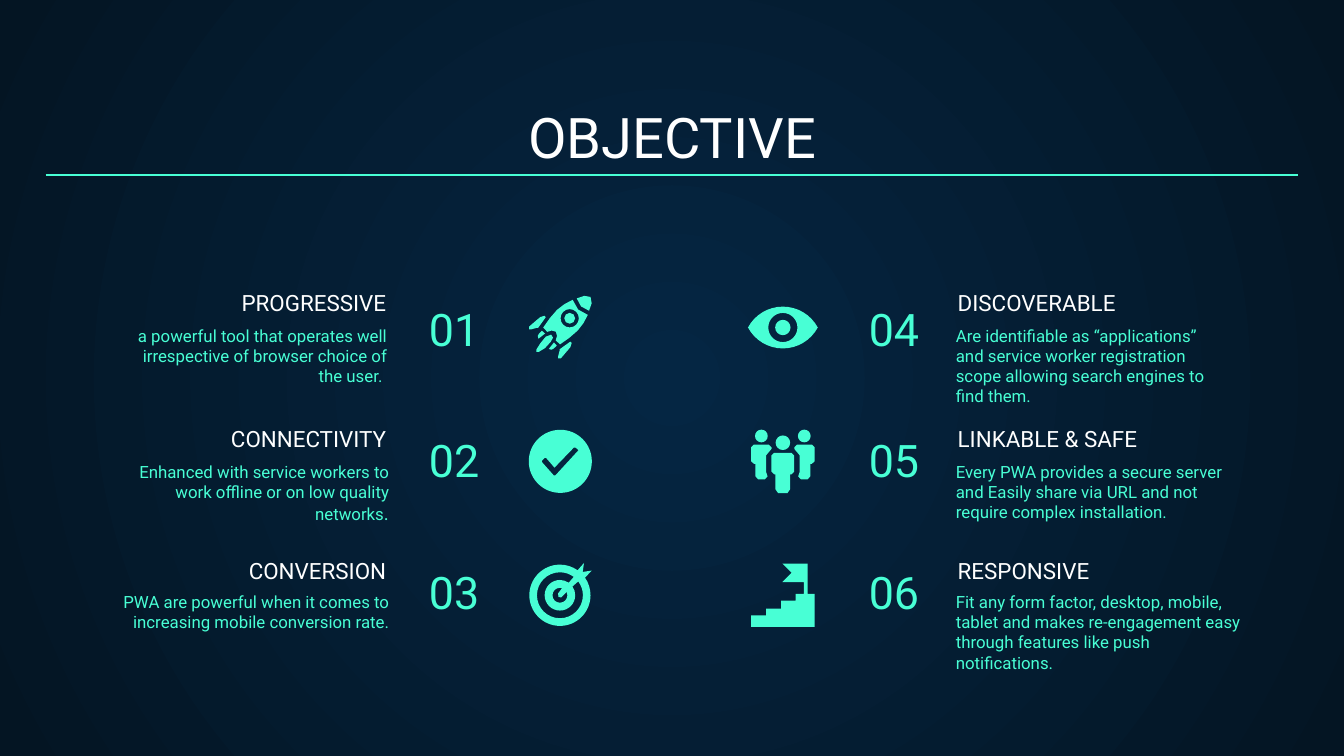
from dataclasses import dataclass
from math import cos, radians, sin, tan

from lxml import etree
from pptx import Presentation
from pptx.dml.color import RGBColor
from pptx.enum import dml, shapes, text
from pptx.oxml import ns
from pptx.util import Pt


@dataclass(frozen=True)
class Theme:
    font: str = "Roboto"
    white: str = "FFFFFF"
    mint: str = "48FFD5"
    glow: str = "052643"
    night: str = "041523"
    title: float = 30
    number: float = 24
    heading: float = 12
    body: float = 9
    full_stop: float = 10
    inset: float = 7.2


LEFT, CENTER, RIGHT = text.PP_ALIGN.LEFT, text.PP_ALIGN.CENTER, text.PP_ALIGN.RIGHT
TOP, BOTTOM = text.MSO_ANCHOR.TOP, text.MSO_ANCHOR.BOTTOM


def add_span(para, words, theme, size, color):
    span = para.add_run()
    span.text = words
    span.font.name = theme.font
    span.font.size = Pt(size)
    span.font.color.rgb = RGBColor.from_string(color)


def write(box, words, theme, size, color, align=LEFT, anchor=TOP):
    frame = box.text_frame
    frame.word_wrap = True
    frame.auto_size = text.MSO_AUTO_SIZE.NONE
    frame.vertical_anchor = anchor
    frame.margin_left = frame.margin_right = Pt(theme.inset)
    frame.margin_top = frame.margin_bottom = Pt(theme.inset)
    para = frame.paragraphs[0]
    para.alignment = align
    add_span(para, words, theme, size, color)
    return para


def arc(x, y, radius, start=0, end=360):
    low, high = sorted((start, end))
    quarters = [a for a in range(-360, 361, 90) if low < a < high]
    stops = [radians(a) for a in sorted([low, high] + quarters, reverse=start > end)]
    nodes = [(x + radius * cos(stops[0]), y + radius * sin(stops[0]))]
    for a, b in zip(stops, stops[1:]):
        pull = 4 / 3 * tan((b - a) / 4)
        nodes.append((x + radius * cos(b), y + radius * sin(b),
                      x + radius * (cos(a) - pull * sin(a)),
                      y + radius * (sin(a) + pull * cos(a)),
                      x + radius * (cos(b) + pull * sin(b)),
                      y + radius * (sin(b) - pull * cos(b))))
    return nodes


def flip(points):
    return [(-x, y) for x, y in points]


def across_diagonal(points):
    return [(-y, -x) for x, y in points]


class SlideBuilder:
    def __init__(self, page, theme):
        self.page = page
        self.theme = theme

    def background(self):
        fill = self.page.background.fill
        fill.gradient()
        for stop, color in zip(fill.gradient_stops, (self.theme.glow, self.theme.night)):
            stop.color.rgb = RGBColor.from_string(color)
        gradient = self.page._element.find(".//" + ns.qn("a:gradFill"))
        gradient.remove(gradient.find(ns.qn("a:lin")))
        circle = etree.SubElement(gradient, ns.qn("a:path"), path="circle")
        etree.SubElement(circle, ns.qn("a:fillToRect"), **dict.fromkeys("ltrb", "50000"))

    def title(self, words, left, top, width, height):
        box = self.page.shapes.title
        box.left, box.top, box.width, box.height = map(Pt, (left, top, width, height))
        write(box, words, self.theme, self.theme.title, self.theme.white, CENTER, BOTTOM)

    def label(self, words, left, top, width, height, **style):
        box = self.page.shapes.add_textbox(*map(Pt, (left, top, width, height)))
        return write(box, words, self.theme, **style)

    def rule(self, left, right, y):
        line = self.page.shapes.add_connector(
            shapes.MSO_CONNECTOR.STRAIGHT, Pt(left), Pt(y), Pt(right), Pt(y))
        line.line.color.rgb = RGBColor.from_string(self.theme.mint)
        line.line.width = Pt(0.75)
        line.line.dash_style = dml.MSO_LINE.SOLID
        etree.SubElement(line._element.spPr, ns.qn("a:effectLst"))

    def outline(self, holder, contours, x, y):
        corners = [[(Pt(x + n[0]), Pt(y + n[1])) for n in nodes] for nodes in contours]
        drawing = holder.build_freeform(*corners[0][0])
        drawing.add_line_segments(corners[0][1:])
        for points in corners[1:]:
            drawing.move_to(*points[0])
            drawing.add_line_segments(points[1:])
        shape = drawing.convert_to_shape()
        steps = list(shape._element.iter(ns.qn("a:lnTo")))
        nodes = [node for contour in contours for node in contour[1:]]
        for step, (_, _, *controls) in zip(steps, nodes):
            if controls:
                step.tag = ns.qn("a:cubicBezTo")
                for place in (0, 1):
                    across, down = controls[2 * place:2 * place + 2]
                    point = etree.Element(ns.qn("a:pt"), x=str(Pt(x + across) - shape.left),
                                          y=str(Pt(y + down) - shape.top))
                    step.insert(place, point)
        shape.shadow.inherit = False
        shape.fill.solid()
        shape.fill.fore_color.rgb = RGBColor.from_string(self.theme.mint)
        shape.line.fill.background()

    def icon(self, parts, x, y):
        holder = self.page.shapes
        if len(parts) > 1:
            holder = holder.add_group_shape().shapes
        for contours in parts:
            self.outline(holder, contours, x, y)


def rocket():
    nose = [(9, -15.6), (13, -17), (16.4, -16.4), (17, -13), (15.6, -9), (11.3, -11.3)]
    hull = [(6.8, -14.9), (2.4, -12.6), (-1.6, -9.5), (-5.5, -5), (-9, 0),
            (-6.8, 2.3), (-4.5, 1.6), (-2.2, 2.2)]
    body = hull + across_diagonal(hull)[::-1] + [(9.7, -9.7)]
    fin = [(-8.2, -6.3), (-10.5, -5.6), (-13, -3.5), (-16.5, -0.5), (-16.5, 1),
           (-15.5, 1), (-12.5, 0.2), (-11.7, 0.2), (-7.6, -5.5)]
    spark = [(-9.7, 1.7), (-11.3, 3.4), (-11.9, 4.5), (-11.5, 6), (-9, 4), (-8, 3.2)]
    flame = [(-4.7, 3.8), (-7.6, 4.9), (-10.5, 8.4), (-12.6, 11.7), (-12.6, 13),
             (-11.3, 13), (-8, 11), (-4.9, 7.6), (-3.7, 5.4)]
    return [[spark], [across_diagonal(spark)], [flame], [fin], [across_diagonal(fin)],
            [arc(5.2, -5, 2.9)], [nose], [body, arc(5.2, -5, 4.9)]]


def check():
    tick = [(8.3, -7.4), (10, -6), (-2.4, 7.5), (-3.3, 7.5), (-9.7, 0.3),
            (-9.5, -0.5), (-8, -1.9), (-7.3, -1.7), (-2.9, 3.4), (7.5, -7.4)]
    return [[arc(0.2, 0, 16.9), tick]]


def target():
    head = [(9.3, -13.2), (12.9, -17.3), (12.2, -12.5), (17, -13.2)]
    gap = arc(0, 0, 12.3, -37, 307) + arc(0, 0, 8.2, 305, -35)
    center = arc(0, 0, 4, -27, 287) + [(-1, -1), (-0.8, 0.9), (0.7, 1.2)]
    return [[arc(0, 0, 16.4, -35, 305) + head, gap, center]]


def eye():
    lids = arc(0, 10, 21.2, 208.1, 331.9) + arc(0, -10, 21.2, 28.1, 151.9)
    return [[lids, arc(0, 0, 7.8), arc(0, 0, 4.1)]]


def people():
    side = [(-15.5, -9), (-17, -7.5), (-17, 0), (-15.5, 1.3), (-14.7, 1.3), (-14.7, 8),
            (-13.2, 9.7), (-9.7, 9.7), (-8.2, 8), (-9, 5.6), (-9, -3.2),
            (-6.1, -6.7), (-6.1, -7.5), (-7.6, -9)]
    half = [(-4.6, -4.6), (-6.1, -3.1), (-6.1, 5.5), (-4.6, 7), (-3.9, 7),
            (-3.9, 15), (-2.5, 17)]
    return [[arc(-11.5, -13.6, 3.4)], [side], [arc(11.5, -13.6, 3.4)], [flip(side)],
            [half + flip(half)[::-1]], [arc(0, -10, 3.9)]]


def stairs():
    return [[[(-0.3, -17), (4.7, -12), (-0.3, -7), (11.2, -7), (11.2, -0.7), (6.8, -0.7),
              (6.8, 2.9), (-1, 2.9), (-1, 7.2), (-9, 7.2), (-9, 10.8), (-17, 10.8),
              (-17, 17), (17, 17), (17, -0.7), (13.3, -0.7), (13.3, -17)]]]


LEFT_ITEMS = [
    ("PROGRESSIVE", "a powerful tool that operates well irrespective of browser choice "
     "of the user. ", 57.2, 157, rocket),
    ("CONNECTIVITY", "Enhanced with service workers to work offline or on low quality "
     "networks", 57, 158.4, check),
    ("CONVERSION", "PWA are powerful when it comes to increasing mobile conversion rate.",
     44.2, 171.2, target),
]
RIGHT_ITEMS = [
    ("DISCOVERABLE", "Are identifiable as “applications” and service worker registration "
     "scope allowing search engines to find them.", 505, 158.4, eye),
    ("LINKABLE & SAFE", "Every PWA provides a secure server and Easily share via URL and "
     "not require complex installation.", 505, 163.4, people),
    ("RESPONSIVE", "Fit any form factor, desktop, mobile, tablet and makes re-engagement "
     "easy through features like push notifications.", 505, 170.6, stairs),
]
COLUMNS = [(LEFT_ITEMS, 50.7, 222.7, 300, RIGHT, LEFT),
           (RIGHT_ITEMS, 506, 406.6, 419.4, LEFT, RIGHT)]
ROW_TOPS = ((161.6, 167.2), (234.4, 240), (304.7, 309.7))


def main():
    theme = Theme()
    deck = Presentation()
    deck.slide_width, deck.slide_height = Pt(720), Pt(405)
    builder = SlideBuilder(deck.slides.add_slide(deck.slide_layouts[5]), theme)
    builder.background()
    builder.title("OBJECTIVE", 24.7, 50.7, 671, 47.5)
    builder.rule(24.5, 695.5, 93.75)
    number = 0
    for items, heading_left, number_left, icon_x, align, number_align in COLUMNS:
        for row, (heading, words, left, width, icon) in enumerate(items):
            number += 1
            heading_top, words_top = ROW_TOPS[row]
            builder.label(heading, heading_left, heading_top, 163.4, 15.1,
                          size=theme.heading, color=theme.white, align=align, anchor=BOTTOM)
            para = builder.label(words, left, words_top, width, 40, size=theme.body,
                                 color=theme.mint, align=align)
            if heading == "CONNECTIVITY":
                add_span(para, ".", theme, theme.full_stop, theme.mint)
            builder.label(f"{number:02}", number_left, 150 + 70.5 * row, 92.9, 47.5,
                          size=theme.number, color=theme.mint, align=number_align,
                          anchor=BOTTOM)
            builder.icon(icon(), icon_x, 175.5 + 71.7 * row)
    deck.save("out.pptx")


if __name__ == "__main__":
    main()
